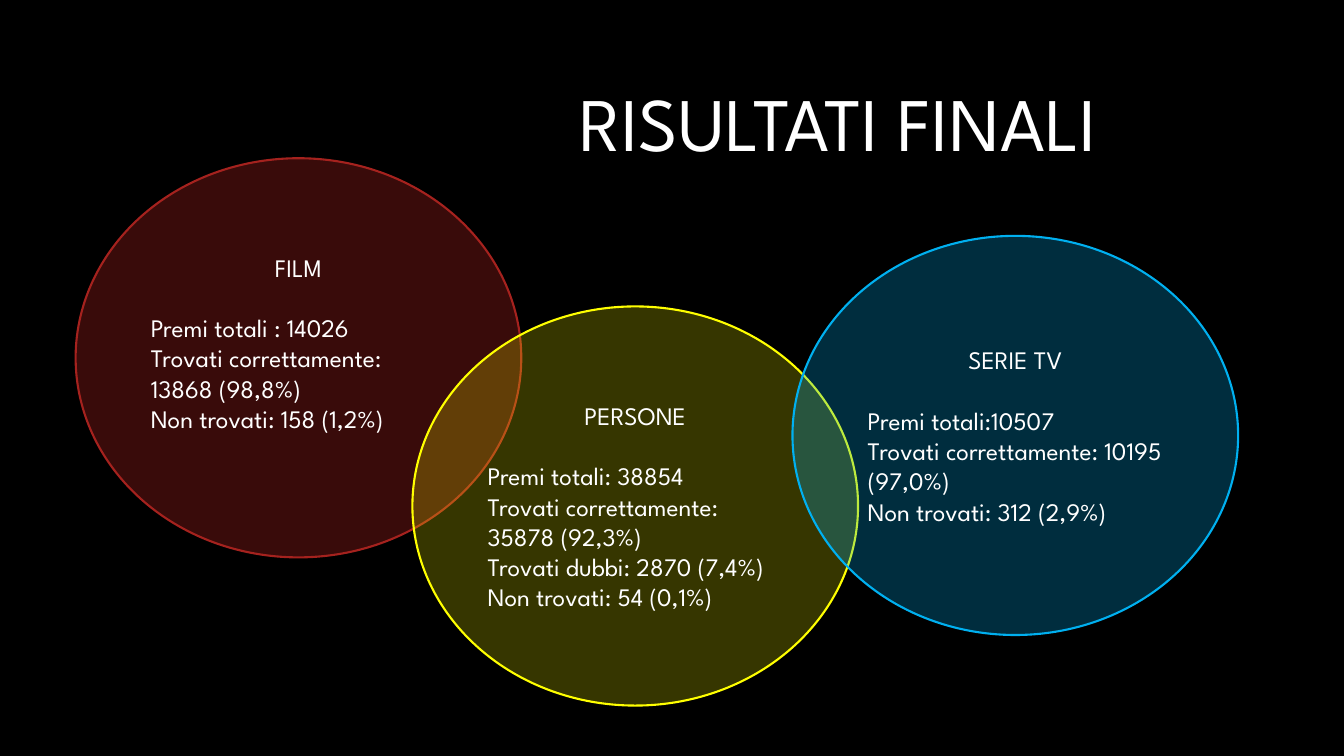
"""Build the final results slide with three overlapping circles."""
from dataclasses import dataclass

from lxml.etree import SubElement
from pptx import Presentation
from pptx.dml.color import RGBColor
from pptx.enum.shapes import MSO_SHAPE
from pptx.enum.text import MSO_ANCHOR, MSO_AUTO_SIZE, PP_ALIGN
from pptx.oxml.ns import qn
from pptx.slide import Slide
from pptx.text.text import TextFrame
from pptx.util import Inches, Pt


@dataclass(frozen=True)
class Theme:
    """Colours, font and sizes shared by the slide."""
    font: str = "League Spartan"
    background: str = "000000"
    text: str = "FFFFFF"
    title_size: float = 54
    body_size: float = 18
    heading_gap: float = 21.6
    outline: float = 1.5
    circle_width: float = 4.42
    circle_height: float = 3.96


@dataclass(frozen=True)
class Circle:
    """One result category and its place on the slide."""
    heading: str
    results: tuple[str, ...]
    left: float
    top: float
    fill: str
    line: str
    opacity: int
    bottom_inset: float = 0.05


THEME = Theme()
CIRCLES = (
    Circle("FILM",
           ("Premi totali : 14026",
            "Trovati correttamente: 13868 (98,8%)",
            "Non trovati: 158 (1,2%)"),
           0.75, 1.57, "DF2E28", "A5221E", 26, bottom_inset=0.35),
    Circle("PERSONE",
           ("Premi totali: 38854",
            "Trovati correttamente: 35878 (92,3%)",
            "Trovati dubbi: 2870 (7,4%)",
            "Non trovati: 54 (0,1%)"),
           4.09, 3.04, "FFFF00", "FFFF00", 21),
    Circle("SERIE TV",
           ("Premi totali:10507",
            "Trovati correttamente: 10195 (97,0%)",
            "Non trovati: 312 (2,9%)"),
           7.86, 2.34, "00B0F0", "00B0F0", 26),
)


def write_line(frame: TextFrame, text: str, *, size: float, align: PP_ALIGN,
               first: bool = False, after: float = 0, spacing: float = 1.0) -> None:
    """Write one formatted paragraph into a text frame."""
    para = frame.paragraphs[0] if first else frame.add_paragraph()
    para.alignment = align
    para.space_before = Pt(0)
    para.space_after = Pt(after)
    para.line_spacing = spacing
    span = para.add_run()
    span.text = text
    span.font.name = THEME.font
    span.font.size = Pt(size)
    span.font.color.rgb = RGBColor.from_string(THEME.text)


def draw_title(page: Slide, text: str) -> None:
    """Place and format the title placeholder."""
    title = page.shapes.title
    title.left, title.top = Inches(0.88), Inches(0.42)
    title.width, title.height = Inches(10.1), Inches(1.3)
    frame = title.text_frame
    frame.word_wrap = True
    frame.auto_size = MSO_AUTO_SIZE.NONE
    frame.vertical_anchor = MSO_ANCHOR.BOTTOM
    write_line(frame, text, size=THEME.title_size, align=PP_ALIGN.RIGHT,
               first=True, spacing=0.9)


def draw_circle(page: Slide, circle: Circle) -> None:
    """Draw a translucent circle with its heading and results."""
    shape = page.shapes.add_shape(
        MSO_SHAPE.OVAL, Inches(circle.left), Inches(circle.top),
        Inches(THEME.circle_width), Inches(THEME.circle_height))
    shape.shadow.inherit = False
    shape.fill.solid()
    shape.fill.fore_color.rgb = RGBColor.from_string(circle.fill)
    colour = shape.fill._xPr.find(qn("a:solidFill")).find(qn("a:srgbClr"))
    SubElement(colour, qn("a:alpha")).set("val", str(circle.opacity * 1000))
    shape.line.color.rgb = RGBColor.from_string(circle.line)
    shape.line.width = Pt(THEME.outline)
    frame = shape.text_frame
    frame.word_wrap = True
    frame.vertical_anchor = MSO_ANCHOR.MIDDLE
    frame.margin_bottom = Inches(circle.bottom_inset)
    write_line(frame, circle.heading, size=THEME.body_size, align=PP_ALIGN.CENTER,
               first=True, after=THEME.heading_gap)
    for result in circle.results:
        write_line(frame, result, size=THEME.body_size, align=PP_ALIGN.LEFT)


def main() -> None:
    """Create the deck and save it."""
    deck = Presentation()
    deck.slide_width, deck.slide_height = Inches(13.33), Inches(7.5)
    page = deck.slides.add_slide(deck.slide_layouts.get_by_name("Title Only"))
    page.background.fill.solid()
    page.background.fill.fore_color.rgb = RGBColor.from_string(THEME.background)
    draw_title(page, "RISULTATI FINALI")
    for circle in CIRCLES:
        draw_circle(page, circle)
    deck.save("out.pptx")


if __name__ == "__main__":
    main()
